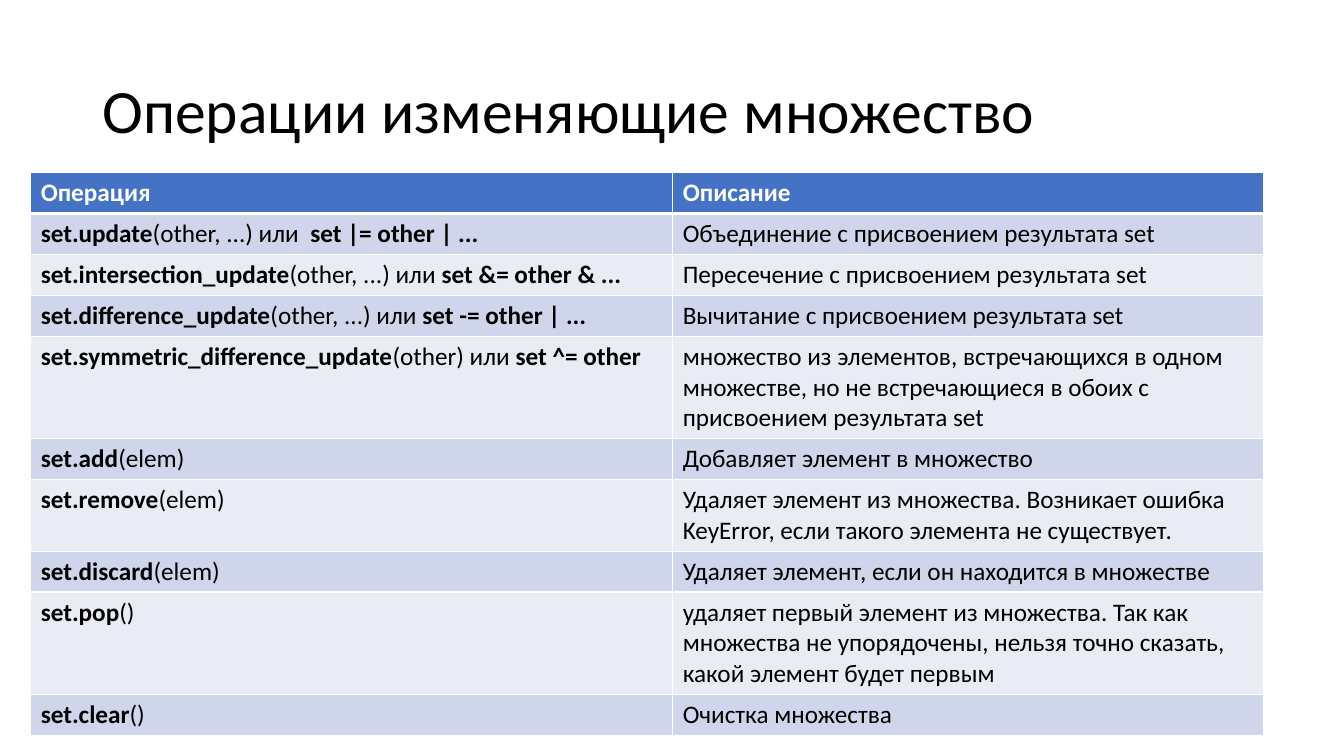
"""Build a slide with a table of the operations that modify a set."""
import pptx
import pptx.dml.color
import pptx.enum.text
import pptx.oxml
import pptx.oxml.ns
import pptx.util

Pt = pptx.util.Pt
RGBColor = pptx.dml.color.RGBColor

BLACK = RGBColor(0x00, 0x00, 0x00)
WHITE = RGBColor(0xFF, 0xFF, 0xFF)
HEADER_BLUE = RGBColor(0x44, 0x72, 0xC4)
BAND_COLORS = (RGBColor(0xE9, 0xEB, 0xF5), RGBColor(0xCF, 0xD5, 0xEA))

HEADERS = ("Операция", "Описание")
OPERATIONS = (
    (("set.update", "(other, ...) или  ", "set |= other | ..."),
     "Объединение с присвоением результата set"),
    (("set.intersection_update", "(other, ...) или ", "set &= other & ..."),
     "Пересечение с присвоением результата set"),
    (("set.difference_update", "(other, ...) или ", "set -= other | ..."),
     "Вычитание с присвоением результата set"),
    (("set.symmetric_difference_update", "(other) или ", "set ^= other"),
     "множество из элементов, встречающихся в одном множестве, "
     "но не встречающиеся в обоих с присвоением результата set"),
    (("set.add", "(elem)"), "Добавляет элемент в множество"),
    (("set.remove", "(elem)"),
     "Удаляет элемент из множества. Возникает ошибка KeyError, "
     "если такого элемента не существует."),
    (("set.discard", "(elem)"), "Удаляет элемент, если он находится в множестве"),
    (("set.pop", "()"),
     "удаляет первый элемент из множества. Так как множества не упорядочены, "
     "нельзя точно сказать, какой элемент будет первым"),
    (("set.clear", "()"), "Очистка множества"),
)


class SlideBuilder:
    """Hold the style and the current slide."""

    font_name = "Calibri"
    title_size = 44
    table_size = 18

    def __init__(self, presentation):
        self.slide = presentation.slides.add_slide(presentation.slide_layouts[5])

    def format_run(self, run, size, color, bold=False):
        run.font.name = self.font_name
        run.font.size = Pt(size)
        run.font.bold = bold
        run.font.color.rgb = color

    def add_title(self, text, left, top, width, height):
        title = self.slide.shapes.title
        title.left, title.top = Pt(left), Pt(top)
        title.width, title.height = Pt(width), Pt(height)
        frame = title.text_frame
        frame.text = text
        frame.vertical_anchor = pptx.enum.text.MSO_ANCHOR.MIDDLE
        paragraph = frame.paragraphs[0]
        paragraph.alignment = pptx.enum.text.PP_ALIGN.LEFT
        paragraph.line_spacing = 0.9
        self.format_run(paragraph.runs[0], self.title_size, BLACK)

    def add_border(self, cell, side, width):
        cell._tc.get_or_add_tcPr().append(pptx.oxml.parse_xml(
            f'<a:ln{side} {pptx.oxml.ns.nsdecls("a")} w="{Pt(width)}">'
            f'<a:solidFill><a:srgbClr val="{WHITE}"/></a:solidFill></a:ln{side}>'))

    def fill_cell(self, cell, parts, fill, color, first_bold, edges):
        for side, width in edges.items():
            self.add_border(cell, side, width)
        cell.fill.solid()
        cell.fill.fore_color.rgb = fill
        paragraph = cell.text_frame.paragraphs[0]
        for index, part in enumerate(parts):
            run = paragraph.add_run()
            run.text = part
            self.format_run(run, self.table_size, color, first_bold and index % 2 == 0)

    def add_table(self, headers, rows, left, top, widths, row_height):
        table = self.slide.shapes.add_table(
            len(rows) + 1, len(widths), Pt(left), Pt(top),
            Pt(sum(widths)), Pt(row_height * (len(rows) + 1))).table
        table.first_row = False
        table.horz_banding = False
        for column, width in zip(table.columns, widths):
            column.width = Pt(width)
        for index, header in enumerate(headers):
            edges = {"L": 1, "R": 1, "T": 1, "B": 3}
            self.fill_cell(table.cell(0, index), (header,), HEADER_BLUE, WHITE, True, edges)
        for index, (operation, description) in enumerate(rows, start=1):
            fill = BAND_COLORS[index % 2]
            edges = {"L": 1, "R": 1, "T": 3 if index == 1 else 1, "B": 1}
            self.fill_cell(table.cell(index, 0), operation, fill, BLACK, True, edges)
            self.fill_cell(table.cell(index, 1), (description,), fill, BLACK, False, edges)


def main():
    presentation = pptx.Presentation()
    presentation.slide_width, presentation.slide_height = Pt(960), Pt(540)
    builder = SlideBuilder(presentation)
    builder.add_title("Операции изменяющие множество", 66, 28.75, 828, 104.4)
    builder.add_table(HEADERS, OPERATIONS, 21.9, 123.4, (458.6, 421.9), 29.2)
    presentation.save("out.pptx")


if __name__ == "__main__":
    main()
